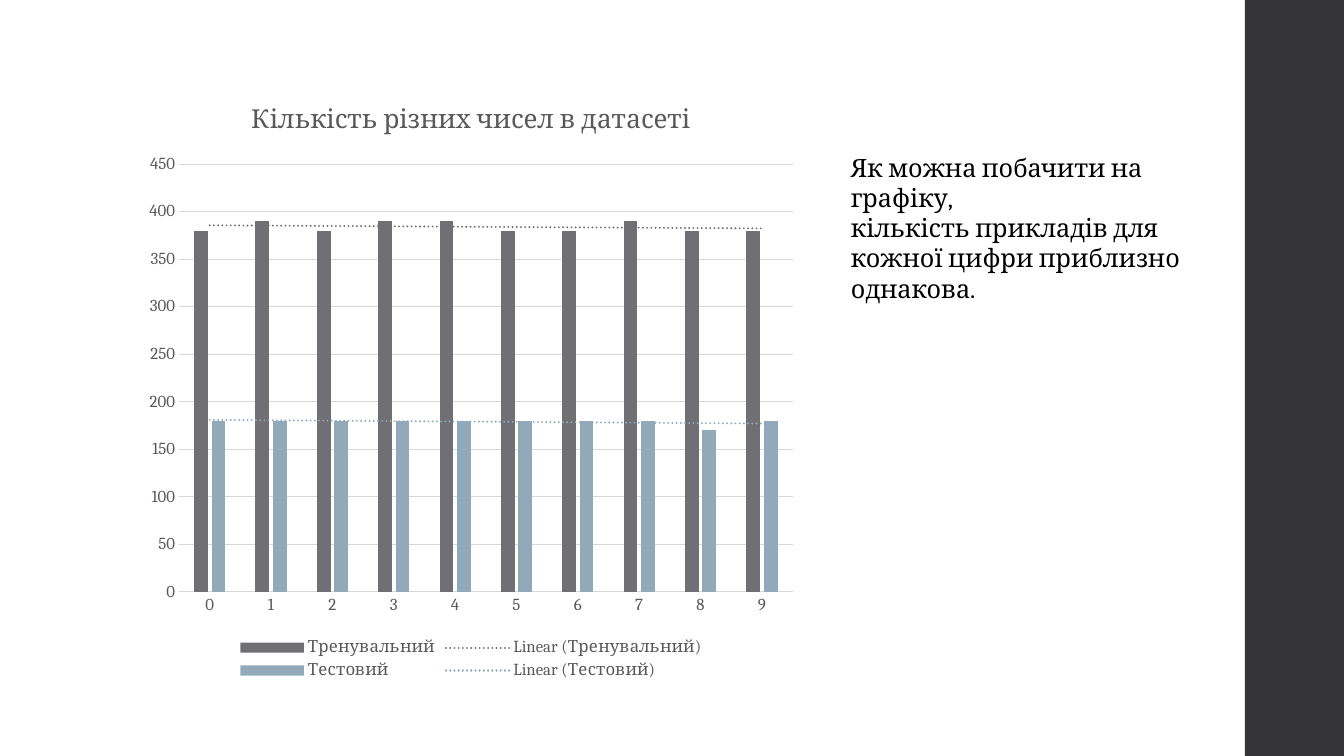
"""Builds a slide on how many examples of each digit the dataset holds."""
from lxml import etree
from pptx import Presentation
from pptx.chart.data import CategoryChartData
from pptx.dml.color import RGBColor
from pptx.enum.chart import XL_CHART_TYPE, XL_LEGEND_POSITION, XL_TICK_MARK
from pptx.enum.shapes import MSO_SHAPE
from pptx.enum.text import MSO_AUTO_SIZE
from pptx.oxml import parse_xml
from pptx.oxml.ns import nsdecls, qn
from pptx.util import Pt

CLUSTERED = XL_CHART_TYPE.COLUMN_CLUSTERED
BOTTOM = XL_LEGEND_POSITION.BOTTOM
NO_TICK = XL_TICK_MARK.NONE
RECTANGLE = MSO_SHAPE.RECTANGLE
FIT_SHAPE = MSO_AUTO_SIZE.SHAPE_TO_FIT_TEXT

PX = 914400 / 100.8
FONT = "Cambria"
COLORS = {"sidebar": "353537", "text": "000000", "label": "595959",
          "grid": "D9D9D9", "train": "6F6F74", "test": "92A9B9"}
COUNTS = [
    ("Тренувальний", "train", [380, 390, 380, 390, 390, 380, 380, 390, 380, 380]),
    ("Тестовий", "test", [180, 180, 180, 180, 180, 180, 180, 180, 170, 180]),
]
REMARKS = ["Як можна побачити на графіку,",
           "кількість прикладів для кожної цифри приблизно однакова."]


def px(*lengths):
    return [round(length * PX) for length in lengths]


def write(paragraph, text, size=18, color="text"):
    run = paragraph.add_run()
    run.text = text
    run.font.name = FONT
    run.font.size = Pt(size)
    run.font.bold = False
    run.font.color.rgb = RGBColor.from_string(COLORS[color])


presentation = Presentation()
presentation.slide_width, presentation.slide_height = px(1344, 756)
slide = presentation.slides.add_slide(presentation.slide_layouts[6])

sidebar = slide.shapes.add_shape(RECTANGLE, *px(1245, 0, 99, 756))
sidebar.shadow.inherit = False
sidebar.fill.solid()
sidebar.fill.fore_color.rgb = RGBColor.from_string(COLORS["sidebar"])
sidebar.line.fill.background()

digit_counts = CategoryChartData()
digit_counts.categories = [str(digit) for digit in range(10)]
for name, color, values in COUNTS:
    digit_counts.add_series(name, values)
chart = slide.shapes.add_chart(CLUSTERED, *px(136, 79, 670, 605), digit_counts).chart
chart.font.name = FONT
chart.font.size = Pt(10)
chart.has_title = True
write(chart.chart_title.text_frame.paragraphs[0], "Кількість різних чисел в датасеті",
      size=18.6, color="label")
chart.chart_title.include_in_layout = False
chart.has_legend = True
legend = chart.legend
legend.position = BOTTOM
legend.include_in_layout = False

digit_axis, count_axis = chart.category_axis, chart.value_axis
for labelled in (digit_axis.tick_labels, count_axis.tick_labels, legend):
    labelled.font.name = FONT
    labelled.font.size = Pt(12)
    labelled.font.color.rgb = RGBColor.from_string(COLORS["label"])
for axis in (digit_axis, count_axis):
    axis.major_tick_mark = axis.minor_tick_mark = NO_TICK
for line in (digit_axis.format.line, count_axis.major_gridlines.format.line):
    line.width = Pt(0.75)
    line.color.rgb = RGBColor.from_string(COLORS["grid"])
count_axis.format.line.fill.background()
count_axis.minimum_scale = 0
count_axis.maximum_scale = 450
count_axis.major_unit = 50

plot = chart.plots[0]
plot.gap_width = 219
plot.overlap = -27
plot.vary_by_categories = False
for dataset, (name, color, values) in zip(plot.series, COUNTS):
    dataset.format.fill.solid()
    dataset.format.fill.fore_color.rgb = RGBColor.from_string(COLORS[color])
    dataset.invert_if_negative = False
    trend = parse_xml(
        f'<c:trendline {nsdecls("c", "a")}><c:spPr><a:ln w="{Pt(1.5)}" cap="rnd">'
        f'<a:solidFill><a:srgbClr val="{COLORS[color]}"/></a:solidFill>'
        '<a:prstDash val="sysDot"/></a:ln></c:spPr></c:trendline>')
    for tag, value in (("trendlineType", "linear"), ("dispRSqr", "0"), ("dispEq", "0")):
        etree.SubElement(trend, qn(f"c:{tag}")).set("val", value)
    dataset._element.find(qn("c:cat")).addprevious(trend)

remark_frame = slide.shapes.add_textbox(*px(841, 147, 366, 194)).text_frame
remark_frame.word_wrap = True
remark_frame.auto_size = FIT_SHAPE
for index, remark in enumerate(REMARKS):
    paragraph = remark_frame.add_paragraph() if index else remark_frame.paragraphs[0]
    write(paragraph, remark)

presentation.save("out.pptx")
